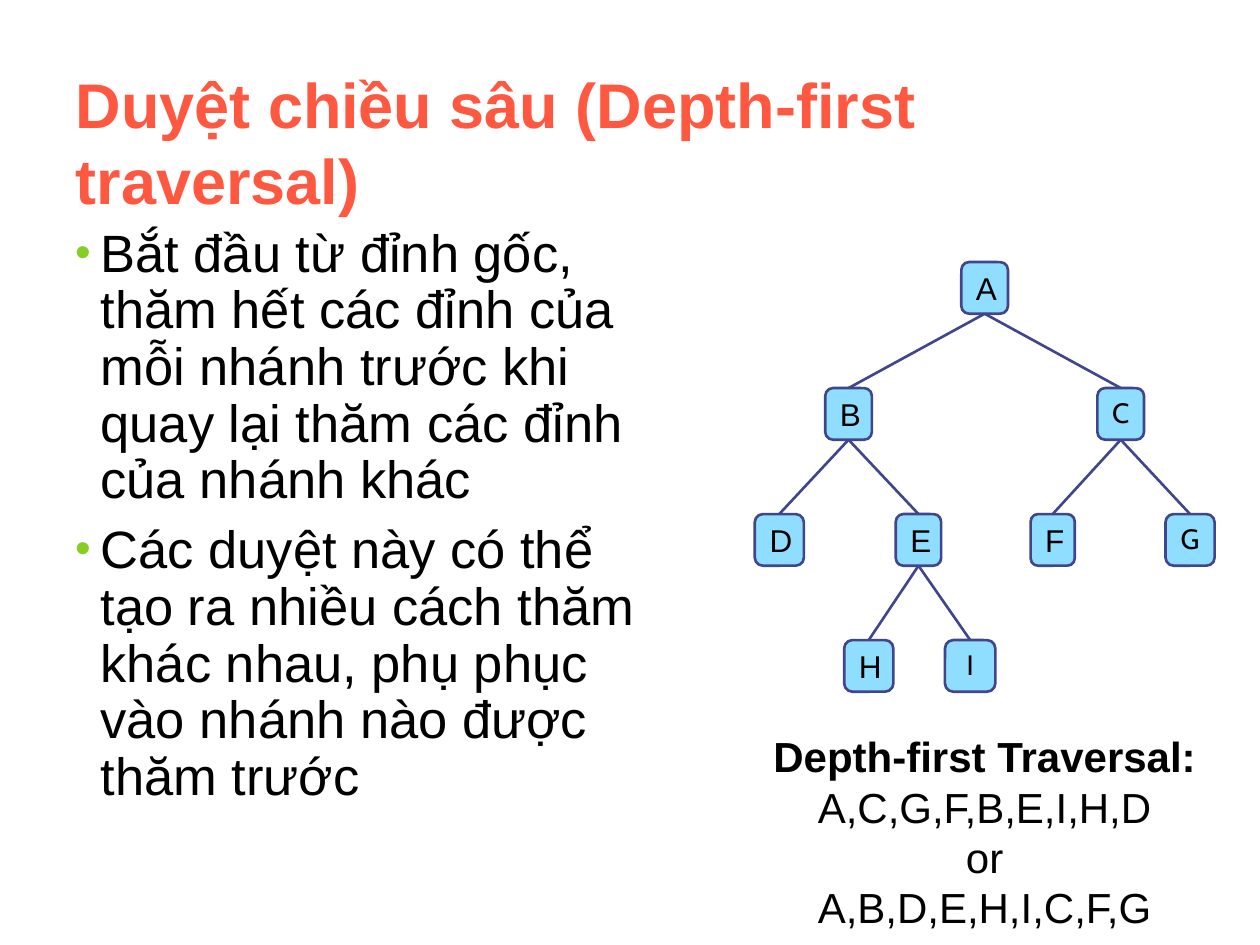
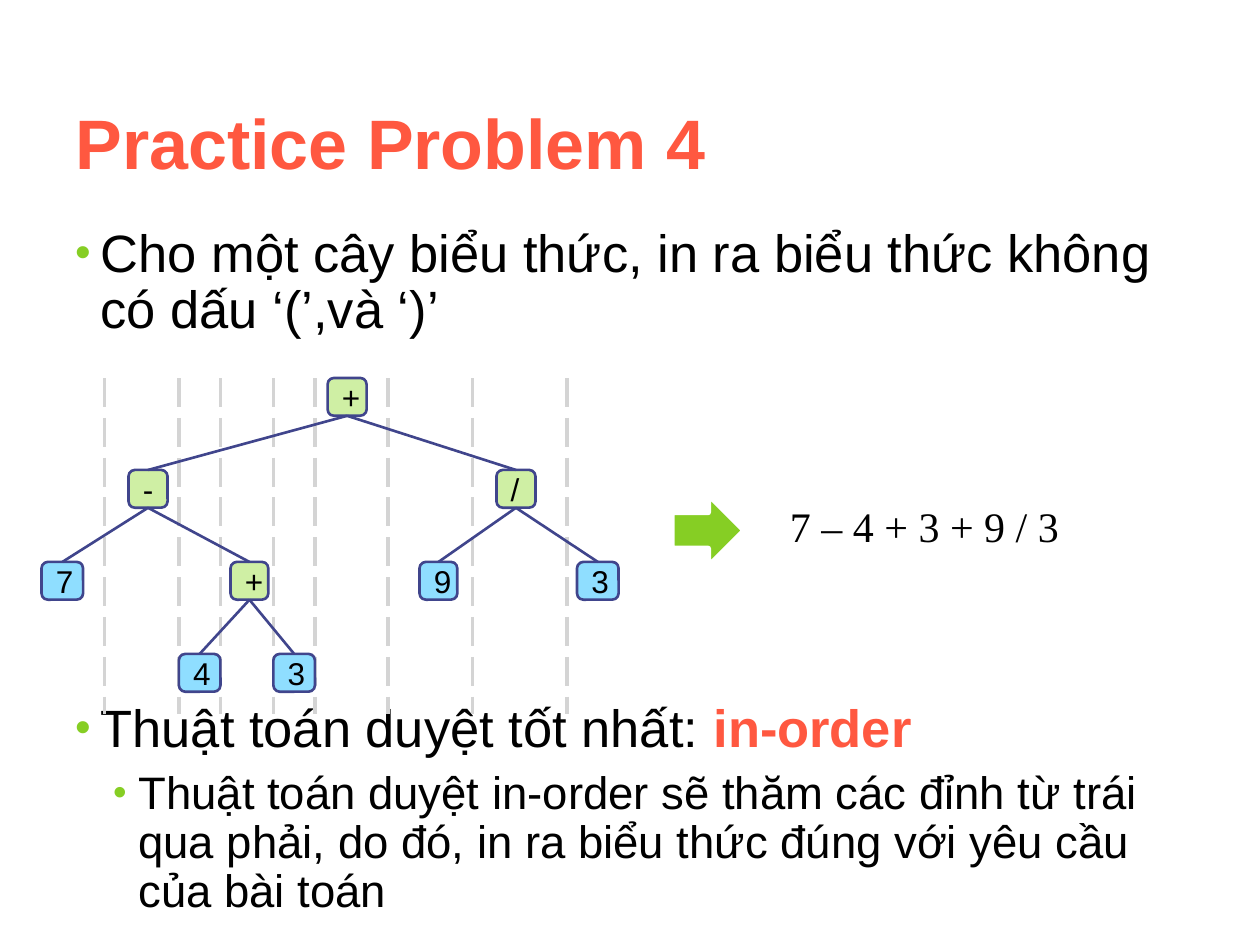
from dataclasses import dataclass
from typing import Optional

from lxml import etree
from pptx import Presentation
from pptx.dml.color import RGBColor
from pptx.enum.dml import MSO_LINE
from pptx.enum.shapes import MSO_CONNECTOR, MSO_SHAPE
from pptx.enum.text import MSO_ANCHOR, MSO_AUTO_SIZE, PP_ALIGN
from pptx.oxml.ns import qn
from pptx.util import Inches, Pt

ACCENT = RGBColor(0xFF, 0x58, 0x40)
GREEN = RGBColor(0x86, 0xCE, 0x24)
LIGHT_GREEN = RGBColor(0xCF, 0xEF, 0xA4)
LIGHT_BLUE = RGBColor(0x8F, 0xDE, 0xFF)
INDIGO = RGBColor(0x40, 0x45, 0x8C)
GREY = RGBColor(0xD4, 0xD4, 0xD4)
BLACK = RGBColor(0, 0, 0)
WHITE = RGBColor(0xFF, 0xFF, 0xFF)

BODY_FONT = "Arial"
LABEL_FONT = "Cabin"
FORMULA_FONT = "Times New Roman"
TITLE_ONLY = 5
TOP, BOTTOM = 0, 2


@dataclass(frozen=True)
class Run:
    text: str
    color: RGBColor = BLACK
    bold: bool = False


@dataclass(frozen=True)
class Bullet:
    runs: list[Run]
    level: int = 0
    size: float = 30
    space_before: float = 7.5


@dataclass(frozen=True)
class Node:
    """A tree node; parent is the index of its parent in the node list."""
    label: str
    parent: Optional[int]
    level: int
    left: float
    width: float
    fill: RGBColor = LIGHT_BLUE
    centred: bool = False


@dataclass(frozen=True)
class Tree:
    top: float
    level_step: float
    node_height: float
    nodes: list[Node]


TRAVERSAL_TREE = Tree(2.08, 1, 0.41, [
    Node("A", None, 0, 7.63, 0.37),
    Node("B", 0, 1, 6.55, 0.37),
    Node("C", 0, 1, 8.71, 0.37, centred=True),
    Node("D", 1, 2, 5.99, 0.39),
    Node("E", 1, 2, 7.11, 0.36),
    Node("F", 2, 2, 8.18, 0.35),
    Node("G", 2, 2, 9.25, 0.39, centred=True),
    Node("H", 4, 3, 6.7, 0.39),
    Node("I", 4, 3, 7.5, 0.4, centred=True),
])

EXPRESSION_TREE = Tree(3, 0.73, 0.3, [
    Node("+", None, 0, 2.6, 0.31, LIGHT_GREEN),
    Node("-", 0, 1, 1.02, 0.31, LIGHT_GREEN),
    Node("/", 0, 1, 3.94, 0.31, LIGHT_GREEN),
    Node("7", 1, 2, 0.33, 0.33),
    Node("+", 1, 2, 1.83, 0.3, LIGHT_GREEN),
    Node("9", 2, 2, 3.33, 0.3),
    Node("3", 2, 2, 4.58, 0.33),
    Node("4", 4, 3, 1.42, 0.33),
    Node("3", 4, 3, 2.17, 0.33),
])

GUIDE_POSITIONS = (0.83, 1.42, 1.75, 2.17, 2.5, 3.08, 3.75, 4.5)


def add_run(paragraph, content: Run, size: float, font: str = BODY_FONT) -> None:
    run = paragraph.add_run()
    run.text = content.text
    run.font.name = font
    run.font.size = Pt(size)
    run.font.bold = content.bold
    run.font.color.rgb = content.color


def add_titled_slide(presentation, title: str, size: float):
    slide = presentation.slides.add_slide(presentation.slide_layouts[TITLE_ONLY])
    shape = slide.shapes.title
    shape.left, shape.top = Inches(0.5), Inches(0.58)
    shape.width, shape.height = Inches(9), Inches(1.08)
    frame = shape.text_frame
    frame.auto_size = MSO_AUTO_SIZE.NONE
    frame.vertical_anchor = MSO_ANCHOR.MIDDLE
    paragraph = frame.paragraphs[0]
    paragraph.alignment = PP_ALIGN.LEFT
    add_run(paragraph, Run(title, ACCENT, True), size)
    return slide


def add_text_frame(slide, left: float, top: float, width: float, height: float):
    box = slide.shapes.add_textbox(Inches(left), Inches(top), Inches(width), Inches(height))
    box.text_frame.word_wrap = True
    return box.text_frame


def set_bullet(paragraph, level: int) -> None:
    properties = paragraph._p.get_or_add_pPr()
    properties.set("marL", str(Inches(0.2 + 0.3 * level)))
    properties.set("indent", str(Inches(-0.2)))
    color = etree.SubElement(properties, qn("a:buClr"))
    etree.SubElement(color, qn("a:srgbClr"), val=str(GREEN))
    etree.SubElement(properties, qn("a:buSzPct"), val="85000")
    etree.SubElement(properties, qn("a:buFont"), typeface=BODY_FONT)
    etree.SubElement(properties, qn("a:buChar"), char="•")


def add_bullets(slide, width: float, height: float, bullets: list[Bullet]) -> None:
    frame = add_text_frame(slide, 0.5, 1.75, width, height)
    for index, bullet in enumerate(bullets):
        paragraph = frame.add_paragraph() if index else frame.paragraphs[0]
        paragraph.level = bullet.level
        paragraph.line_spacing = 0.9
        paragraph.space_before = Pt(bullet.space_before)
        set_bullet(paragraph, bullet.level)
        for run in bullet.runs:
            add_run(paragraph, run, bullet.size)


def add_line(slide, left: float, top: float, bottom: float, color: RGBColor, width: float):
    line = slide.shapes.add_connector(
        MSO_CONNECTOR.STRAIGHT, Inches(left), Inches(top), Inches(left), Inches(bottom))
    line.line.color.rgb = color
    line.line.width = Pt(width)
    etree.SubElement(line._element.spPr, qn("a:effectLst"))
    return line


def add_node(slide, tree: Tree, node: Node):
    shape = slide.shapes.add_shape(
        MSO_SHAPE.ROUNDED_RECTANGLE, Inches(node.left),
        Inches(tree.top + node.level * tree.level_step),
        Inches(node.width), Inches(tree.node_height))
    shape.adjustments[0] = 0.167
    shape.shadow.inherit = False
    shape.fill.solid()
    shape.fill.fore_color.rgb = node.fill
    shape.line.color.rgb = INDIGO
    shape.line.width = Pt(1.5)
    frame = shape.text_frame
    frame.word_wrap = False
    frame.vertical_anchor = MSO_ANCHOR.MIDDLE
    paragraph = frame.paragraphs[0]
    if node.centred:
        paragraph.alignment = PP_ALIGN.CENTER
        paragraph.line_spacing = 0.93
        add_run(paragraph, Run(node.label), 16, LABEL_FONT)
    else:
        paragraph.alignment = PP_ALIGN.LEFT
        add_run(paragraph, Run(node.label), 18)
    return shape


def add_tree(slide, tree: Tree) -> None:
    shapes = [add_node(slide, tree, node) for node in tree.nodes]
    for node, shape in zip(tree.nodes, shapes):
        if node.parent is not None:
            branch = add_line(slide, node.left, tree.top, tree.top, INDIGO, 1.5)
            branch.begin_connect(shapes[node.parent], BOTTOM)
            branch.end_connect(shape, TOP)


def build_traversal_slide(presentation) -> None:
    slide = add_titled_slide(presentation, "Duyệt chiều sâu (Depth-first traversal)", 36)
    add_bullets(slide, 5, 5.08, [
        Bullet([Run("Bắt đầu từ đỉnh gốc, thăm hết các đỉnh của mỗi nhánh trước khi "
                    "quay lại thăm các đỉnh của nhánh khác")]),
        Bullet([Run("Các duyệt này có thể tạo ra nhiều cách thăm khác nhau, phụ phục "
                    "vào nhánh nào được thăm trước")]),
    ])

    frame = add_text_frame(slide, 5.95, 5.75, 3.73, 1.7)
    first, second = frame.paragraphs[0], frame.add_paragraph()
    first.alignment = second.alignment = PP_ALIGN.CENTER
    add_run(first, Run("Depth-first Traversal: ", bold=True), 24)
    add_run(first, Run("A,C,G,F,B,E,I,H,D"), 24)
    add_run(second, Run("or"), 24)
    second.add_line_break()
    add_run(second, Run("A,B,D,E,H,I,C,F,G"), 24)

    add_tree(slide, TRAVERSAL_TREE)


def build_practice_slide(presentation) -> None:
    slide = add_titled_slide(presentation, "Practice Problem 4", 40)
    add_bullets(slide, 9, 5.75, [
        Bullet([Run("Cho một cây biểu thức, in ra biểu thức không có dấu ‘(’,và ‘)’")]),
        Bullet([Run("Thuật toán duyệt tốt nhất: "), Run("in-order", ACCENT, True)],
               space_before=207),
        Bullet([Run("Thuật toán duyệt in-order sẽ thăm các đỉnh từ trái qua phải, do đó, "
                    "in ra biểu thức đúng với yêu cầu của bài toán")],
               level=1, size=26, space_before=6.5),
    ])

    arrow = slide.shapes.add_shape(
        MSO_SHAPE.RIGHT_ARROW, Inches(5.33), Inches(3.92), Inches(0.58), Inches(0.58))
    arrow.shadow.inherit = False
    arrow.fill.solid()
    arrow.fill.fore_color.rgb = GREEN
    arrow.line.color.rgb = WHITE
    arrow.line.width = Pt(3.5)

    formula = add_text_frame(slide, 6.17, 3.92, 2.75, 0.9)
    add_run(formula.paragraphs[0], Run("7 – 4 + 3 + 9 / 3"), 24, FORMULA_FONT)

    for left in GUIDE_POSITIONS:
        guide = add_line(slide, left, 3, 5.67, GREY, 2.07)
        guide.line.dash_style = MSO_LINE.LONG_DASH
    add_tree(slide, EXPRESSION_TREE)


def main() -> None:
    presentation = Presentation()
    presentation.slide_width = Inches(10)
    presentation.slide_height = Inches(7.5)
    build_traversal_slide(presentation)
    build_practice_slide(presentation)
    presentation.save("out.pptx")


if __name__ == "__main__":
    main()
